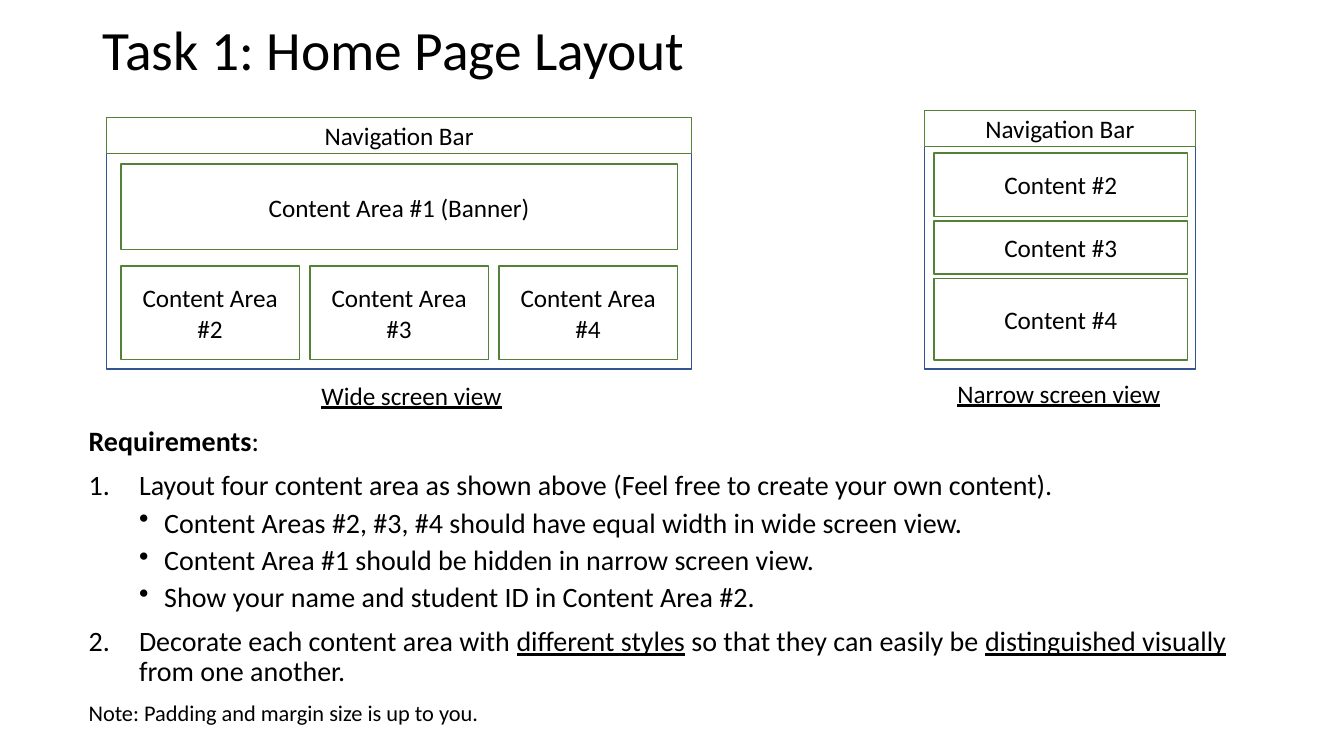
from lxml import etree
from pptx import Presentation
from pptx.dml.color import RGBColor
from pptx.enum.shapes import MSO_SHAPE as Shape
from pptx.enum.text import MSO_ANCHOR as Anchor, PP_ALIGN as Align
from pptx.oxml.ns import qn
from pptx.util import Pt

BLACK = RGBColor(0x00, 0x00, 0x00)
WHITE = RGBColor(0xFF, 0xFF, 0xFF)
GREEN = RGBColor(0x53, 0x81, 0x35)
BLUE = RGBColor(0x32, 0x54, 0x91)

deck = Presentation()
deck.slide_width, deck.slide_height = Pt(960), Pt(540)
slide = deck.slides.add_slide(deck.slide_layouts[6])


def style(para, size):
    """Set the common font of a paragraph."""
    para.font.name = "Calibri"
    para.font.size = Pt(size)
    para.font.color.rgb = BLACK


def add_box(left, top, width, height, text="", color=GREEN):
    """Add an outlined white box with a centred label."""
    box = slide.shapes.add_shape(
        Shape.RECTANGLE, Pt(left), Pt(top), Pt(width), Pt(height))
    box.shadow.inherit = False
    box.fill.solid()
    box.fill.fore_color.rgb = WHITE
    box.line.color.rgb = color
    box.line.width = Pt(1)
    if text:
        frame = box.text_frame
        frame.word_wrap = True
        frame.vertical_anchor = Anchor.MIDDLE
        para = frame.paragraphs[0]
        para.text = text
        para.alignment = Align.CENTER
        style(para, 18)


# Title
title = slide.shapes.add_textbox(Pt(66.2), Pt(14.4), Pt(828), Pt(46.8))
title.text_frame.word_wrap = True
title.text_frame.vertical_anchor = Anchor.MIDDLE
para = title.text_frame.paragraphs[0]
para.text = "Task 1: Home Page Layout"
para.line_spacing = 0.9
style(para, 39.6)

# Wide screen: banner above three equal columns
add_box(76.3, 85.5, 417.6, 178, color=BLUE)
add_box(86.4, 117.2, 397.4, 61.2, "Content Area #1 (Banner)")
width = 127.4
step = (397.4 - width) / 2
for col in range(3):
    add_box(86.4 + col * step, 190, width, 67, f"Content Area #{col + 2}")
add_box(76.3, 83.8, 417.6, 25.7, "Navigation Bar")

# Narrow screen: three stacked areas
add_box(660.2, 79, 193.7, 184.5, color=BLUE)
top = 109.3
for num, height in enumerate((45.5, 38, 58.3), 2):
    add_box(667.2, top, 181, height, f"Content #{num}")
    top += height + 3
add_box(660.2, 79, 193.7, 25.7, "Navigation Bar")

# Captions
for left, top, width, text in (
        (222.5, 267.8, 144.7, "Wide screen view"),
        (676.8, 266.4, 161.3, "Narrow screen view")):
    note = slide.shapes.add_textbox(Pt(left), Pt(top), Pt(width), Pt(28.8))
    note.text_frame.word_wrap = False
    para = note.text_frame.paragraphs[0]
    para.text = text
    para.font.underline = True
    style(para, 18)

# Requirements: kind, size, runs as (text, mark)
ITEMS = (
    ("plain", 20, [("Requirements", "b"), (":", "")]),
    ("number", 20, [("Layout four content area as shown above "
                     "(Feel free to create your own content).", "")]),
    ("bullet", 20, [("Content Areas #2, #3, #4 should have equal width "
                     "in wide screen view.", "")]),
    ("bullet", 20, [("Content Area #1 should be hidden in narrow "
                     "screen view.", "")]),
    ("bullet", 20, [("Show your name and student ID in "
                     "Content Area #2.", "")]),
    ("number", 20, [("Decorate each content area with ", ""),
                    ("different styles", "u"),
                    (" so that they can easily be ", ""),
                    ("distinguished visually", "u"),
                    (" from one another.", "")]),
    ("plain", 16, [("Note: Padding and margin size is up to you.", "")]),
)
body = slide.shapes.add_textbox(Pt(56.2), Pt(301.7), Pt(867.6), Pt(224.6))
frame = body.text_frame
frame.word_wrap = True
for pos, (kind, size, runs) in enumerate(ITEMS):
    para = frame.add_paragraph() if pos else frame.paragraphs[0]
    para.line_spacing = 0.9
    para.space_before = Pt(5 if kind == "bullet" else 10)
    style(para, size)
    for text, mark in runs:
        run = para.add_run()
        run.text = text
        if mark == "b":
            run.font.bold = True
        elif mark == "u":
            run.font.underline = True
    props = para._p.get_or_add_pPr()
    if kind == "number":
        props.set("marL", str(Pt(36)))
        props.set("indent", str(Pt(-36)))
        mark = etree.Element(qn("a:buAutoNum"), type="arabicPeriod")
    elif kind == "bullet":
        para.level = 1
        props.set("marL", str(Pt(54)))
        props.set("indent", str(Pt(-18)))
        mark = etree.Element(qn("a:buChar"), char="•")
    else:
        continue
    props.find(qn("a:defRPr")).addprevious(mark)

deck.save("out.pptx")
